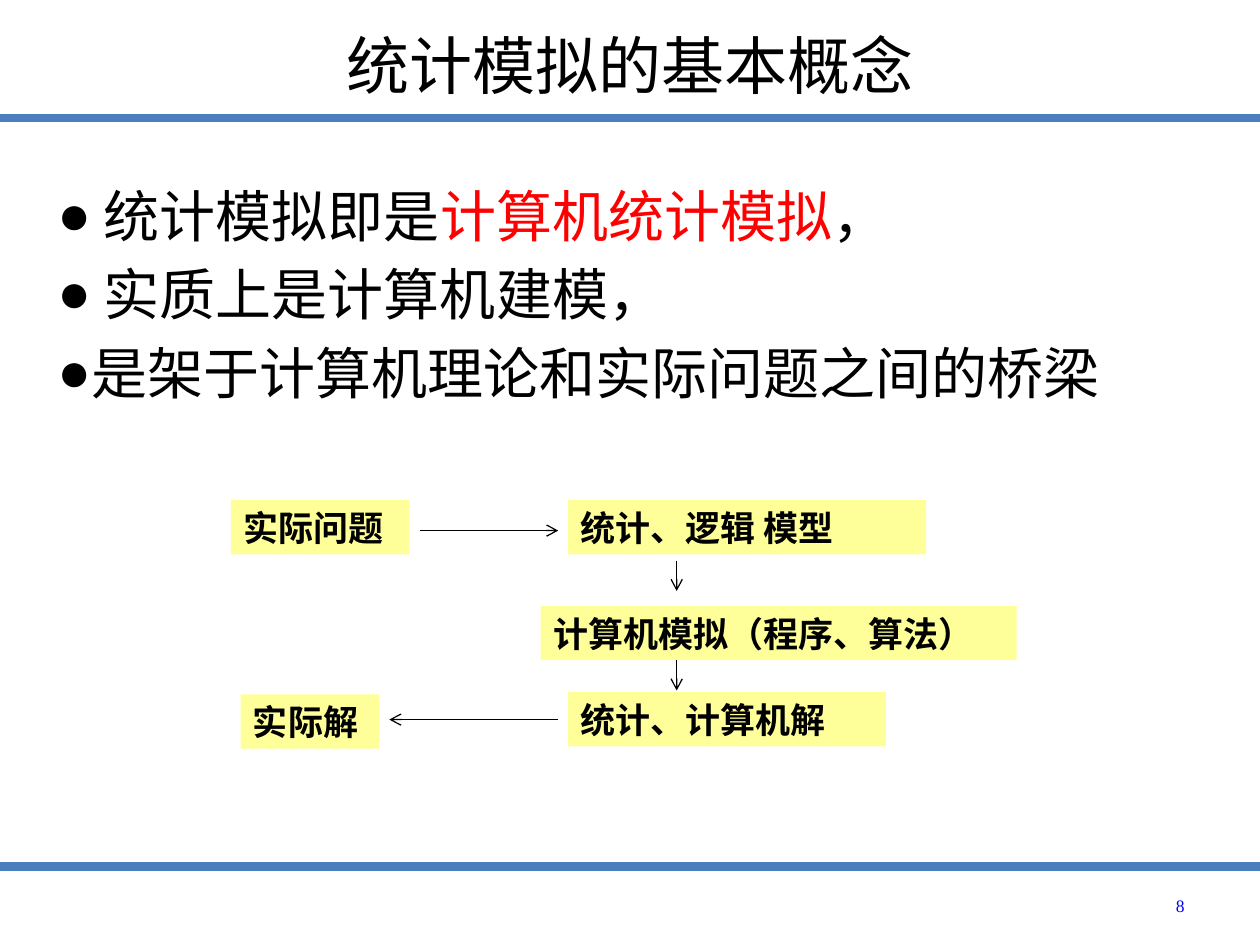
"""Build the slide on the basic concept of statistical simulation."""
from dataclasses import dataclass

from lxml.etree import SubElement
from pptx import Presentation
from pptx.dml.color import RGBColor
from pptx.enum.shapes import MSO_CONNECTOR as Connector, MSO_SHAPE as Shape
from pptx.enum.text import MSO_ANCHOR as Anchor, PP_ALIGN as Align
from pptx.oxml.ns import qn
from pptx.util import Pt


@dataclass(frozen=True)
class Theme:
    ink: str = "000000"
    accent: str = "FF0000"
    rule: str = "4B7EBC"
    box: str = "FFFF99"
    number: str = "0000FF"
    sans: str = "Arial"
    body_font: str = "Noto Sans CJK SC"
    serif: str = "Times New Roman"
    title_size: float = 36
    body_size: float = 32
    box_size: float = 20
    number_size: float = 10


@dataclass(frozen=True)
class Step:
    text: str
    left: float
    top: float
    width: float


@dataclass(frozen=True)
class Line:
    start: tuple[float, float]
    end: tuple[float, float]


THEME = Theme()
STEP_HEIGHT = 31
BULLETS = [
    [(" 统计模拟即是", THEME.ink), ("计算机统计模拟", THEME.accent), ("，", THEME.ink)],
    [(" 实质上是计算机建模，", THEME.ink)],
    [("是架于计算机理论和实际问题之间的桥梁", THEME.ink)],
]
STEPS = [
    Step("实际问题", 132, 285.8, 102),
    Step("统计、逻辑 模型", 324.7, 285.8, 204.5),
    Step("计算机模拟（程序、算法）", 309, 346.3, 272),
    Step("统计、计算机解", 324.7, 395.5, 181.5),
    Step("实际解", 137.5, 396.8, 79.2),
]
RULES = [Line((0, y), (720, y)) for y in (67.5, 495)]
ARROWS = [
    Line((240, 303.2), (319, 303.2)),
    Line((386.7, 320.4), (386.7, 337.7)),
    Line((386.7, 377.3), (386.7, 394.6)),
    Line((319, 411.2), (222.5, 411.2)),
]


def style(font, name: str, size: float, color: str, bold: bool = False) -> None:
    font.name, font.size, font.bold = name, Pt(size), bold
    font.color.rgb = RGBColor.from_string(color)


def place(shape, left: float, top: float, width: float, height: float) -> None:
    shape.left, shape.top, shape.width, shape.height = map(Pt, (left, top, width, height))


def add_line(page, line: Line, color: str, weight: float, arrow: bool = False) -> None:
    connector = page.shapes.add_connector(
        Connector.STRAIGHT, *map(Pt, (*line.start, *line.end)))
    connector.line.color.rgb = RGBColor.from_string(color)
    connector.line.width = Pt(weight)
    if arrow:
        SubElement(connector.line._get_or_add_ln(), qn("a:tailEnd"), type="arrow")
    SubElement(connector._element.spPr, qn("a:effectLst"))


def add_title(page, text: str) -> None:
    title = page.shapes.title
    place(title, 36, 11.5, 648, 50.4)
    frame = title.text_frame
    frame.text = text
    frame.vertical_anchor = Anchor.MIDDLE
    para = frame.paragraphs[0]
    para.alignment = Align.CENTER
    style(para.runs[0].font, THEME.sans, THEME.title_size, THEME.ink)


def add_bullets(page) -> None:
    frame = page.shapes.add_textbox(*map(Pt, (5.8, 100, 698.4, 173.5))).text_frame
    frame.word_wrap = True
    for index, parts in enumerate(BULLETS):
        para = frame.add_paragraph() if index else frame.paragraphs[0]
        if index:
            para.space_before = Pt(THEME.body_size * 0.2)
        properties = para._p.get_or_add_pPr()
        properties.set("marL", str(Pt(33)))
        properties.set("indent", str(Pt(-13)))
        SubElement(properties, qn("a:buFont"), typeface=THEME.sans)
        SubElement(properties, qn("a:buChar"), char="●")
        for text, color in parts:
            span = para.add_run()
            span.text = text
            style(span.font, THEME.body_font, THEME.body_size, color)


def add_step(page, step: Step) -> None:
    box = page.shapes.add_shape(
        Shape.RECTANGLE, *map(Pt, (step.left, step.top, step.width, STEP_HEIGHT)))
    box.shadow.inherit = False
    box.fill.solid()
    box.fill.fore_color.rgb = RGBColor.from_string(THEME.box)
    box.line.fill.background()
    frame = box.text_frame
    frame.text = step.text
    frame.word_wrap = True
    frame.vertical_anchor = Anchor.MIDDLE
    para = frame.paragraphs[0]
    para.alignment = Align.LEFT
    style(para.runs[0].font, THEME.sans, THEME.box_size, THEME.ink, bold=True)


def add_number(page, text: str) -> None:
    frame = page.shapes.add_textbox(*map(Pt, (516.2, 503.3, 167.8, 28.8))).text_frame
    frame.text = text
    frame.word_wrap = True
    frame.vertical_anchor = Anchor.MIDDLE
    para = frame.paragraphs[0]
    para.alignment = Align.RIGHT
    style(para.runs[0].font, THEME.serif, THEME.number_size, THEME.number)


def main() -> None:
    deck = Presentation()
    deck.slide_width, deck.slide_height = Pt(720), Pt(540)
    page = deck.slides.add_slide(deck.slide_layouts[5])
    for rule in RULES:
        add_line(page, rule, THEME.rule, 5)
    add_number(page, "8")
    add_title(page, "统计模拟的基本概念")
    add_bullets(page)
    for step in STEPS:
        add_step(page, step)
    for arrow in ARROWS:
        add_line(page, arrow, THEME.ink, 0.75, arrow=True)
    deck.save("out.pptx")


if __name__ == "__main__":
    main()
